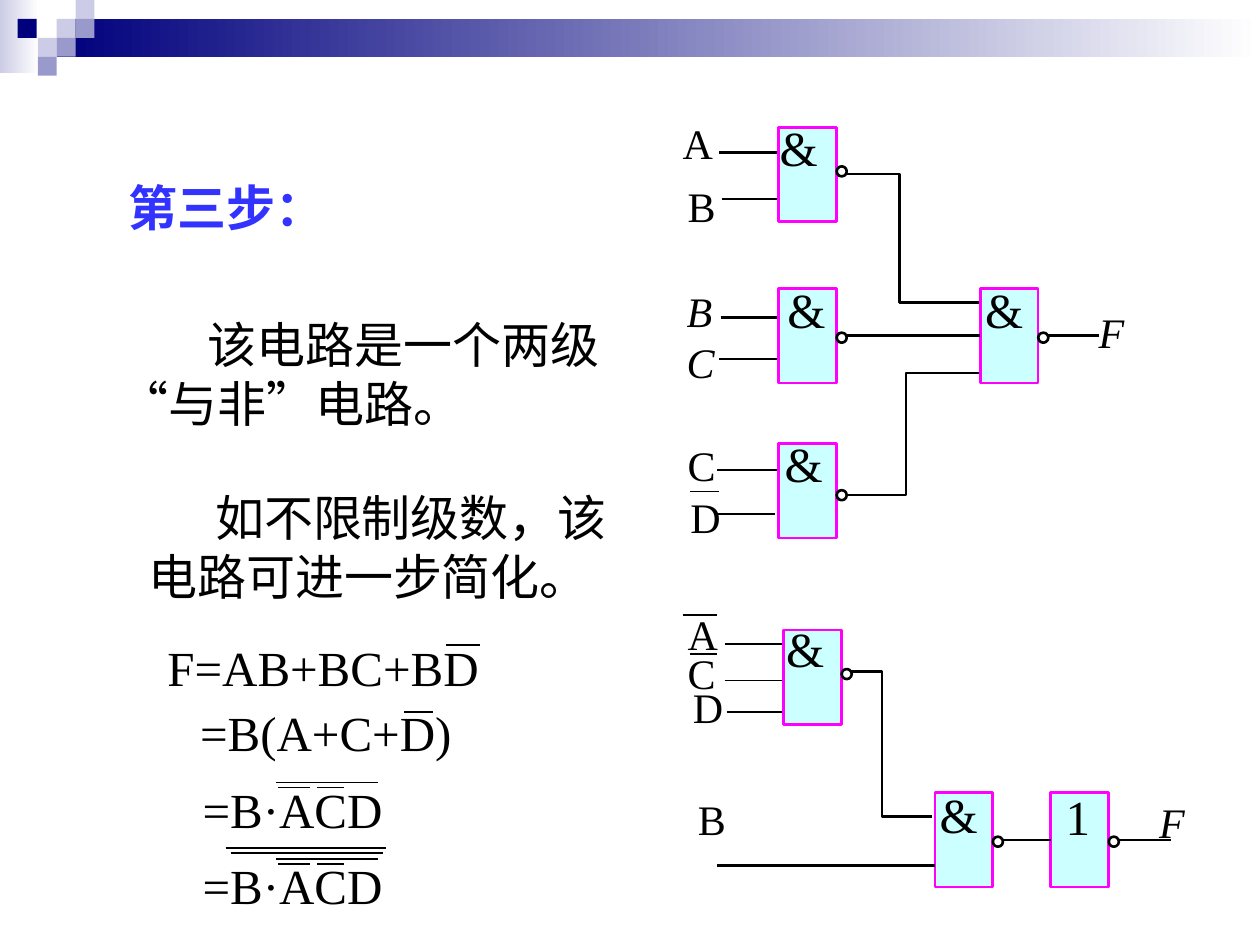
from lxml import etree
from pptx import Presentation
from pptx.dml.color import RGBColor
from pptx.enum.shapes import MSO_CONNECTOR as CONN, MSO_SHAPE as SHAPE
from pptx.enum.text import MSO_ANCHOR as ANCHOR, PP_ALIGN as ALIGN
from pptx.oxml.ns import qn
from pptx.util import Inches, Pt

COLORS = {"navy": "00007D", "lilac": "CCCCE6", "violet": "9999CC", "white": "FFFFFF",
          "black": "000000", "heading": "3333FF", "gate": "CCFFFF", "edge": "FF00FF"}
FONT = "Times New Roman"
GATE_W, GATE_H, BUBBLE = 0.46, 0.75, 0.08

TITLE = "第三步："
# left, top, width, first-line indent, lines
PROSE = [
    (0.85, 2.45, 4.2, 0.7, ["该电路是一个两级", "“与非”电路。"]),
    (1.08, 3.82, 4.0, 0.53, ["如不限制级数，该", "电路可进一步简化。"]),
]
# left, top, width, text
FORMULAS = [
    (1.23, 5.01, 2.9, "F=AB+BC+BD"),
    (1.49, 5.53, 2.5, "=B(A+C+D)"),
    (1.51, 6.14, 1.9, "=B·ACD"),
    (1.51, 6.74, 1.9, "=B·ACD"),
]
# Negation bars: x from, x to, y
ACD_BARS = [(2.21, 2.46, 0.04), (2.52, 2.73, 0.04), (2.19, 3.0, 0)]
BARS = [(3.54, 3.81, 5.12), (3.21, 3.44, 5.65),
        *[(x1, x2, top + dy) for top in (6.21, 6.82) for x1, x2, dy in ACD_BARS],
        (1.83, 3.04, 6.77), (1.79, 3.06, 6.73),
        (5.48, 5.71, 3.9), (5.42, 5.69, 4.88), (5.48, 5.69, 5.19)]

# name: left, top, bubble drop, symbol, symbol left, symbol top, symbol width
GATES = {
    "AB": (6.18, 1.01, 0.31, "&", 6.09, 0.88, 0.5),
    "BC": (6.18, 2.29, 0.35, "&", 6.15, 2.17, 0.5),
    "CD": (6.18, 3.52, 0.37, "&", 6.13, 3.39, 0.5),
    "sum": (7.78, 2.29, 0.35, "&", 7.72, 2.17, 0.5),
    "ACD": (6.22, 5.0, 0.31, "&", 6.14, 4.86, 0.5),
    "product": (7.42, 6.29, 0.35, "&", 7.36, 6.18, 0.5),
    "not": (8.34, 6.29, 0.35, "1", 8.36, 6.19, 0.39),
}
# x from, x to, y, line width
INPUTS = [
    (5.71, 6.17, 1.21, 1.5), (5.73, 6.17, 1.58, 1),
    (5.72, 6.17, 2.52, 1.5), (5.71, 6.17, 2.85, 1.5),
    (5.69, 6.17, 3.73, 1), (5.69, 6.15, 4.08, 1.5),
    (5.75, 6.21, 5.11, 1.5), (5.75, 6.21, 5.4, 1), (5.77, 6.21, 5.65, 1),
    (5.69, 7.42, 6.87, 1.5),
]
# x from, x to, y, line width, gate left, gate entered
OUTPUTS = [
    (6.64, 7.78, 2.67, 1.5, "BC", "sum"), (8.24, 8.72, 2.67, 1.5, "sum", None),
    (7.88, 8.34, 6.67, 1, "product", "not"), (8.8, 9.29, 6.67, 1, "not", None),
]
# Stepped wires: x from, x of the step, x to, y from, y to
STEPS = [
    (6.64, 7.14, 7.77, 1.38, 2.4),
    (6.64, 7.19, 7.77, 3.93, 2.96),
    (6.68, 7.0, 7.4, 5.33, 6.48),
]
# text, left, top, italic
LABELS = [
    ("A", 5.32, 0.88, False), ("B", 5.36, 1.38, False),
    ("B", 5.35, 2.22, True), ("C", 5.35, 2.62, True),
    ("C", 5.36, 3.44, False), ("D", 5.38, 3.85, False), ("F", 8.62, 2.38, True),
    ("A", 5.36, 4.78, False), ("C", 5.36, 5.09, False), ("D", 5.4, 5.36, False),
    ("B", 5.44, 6.25, False), ("F", 9.1, 6.27, True),
]
# Corner squares: left, top, colour
SQUARES = [(0.45, 0.15, "lilac"), (0.6, 0, "lilac"), (0.6, 0.15, "violet"),
           (0.3, 0.3, "lilac"), (0.14, 0.15, "navy"), (0.45, 0.3, "violet"),
           (0.3, 0.45, "violet")]


def rgb(name):
    return RGBColor.from_string(COLORS[name])


def add_shape(kind, x, y, w, h, fill, line=None):
    sp = s.shapes.add_shape(kind, *map(Inches, (x, y, w, h)))
    sp.shadow.inherit = False
    sp.fill.solid()
    sp.fill.fore_color.rgb = rgb(fill)
    if line:
        sp.line.color.rgb = rgb(line)
        sp.line.width = Pt(1.5)
    else:
        sp.line.fill.background()
    return sp


def add_fade(x, y, w, h, color):
    """Rectangle fading from color on the left to white on the right."""
    fill = add_shape(SHAPE.RECTANGLE, x, y, w, h, color).fill
    fill.gradient()
    fill.gradient_angle = 0
    for stop, name in zip(fill.gradient_stops, (color, "white")):
        stop.color.rgb = rgb(name)


def format_text(tf, size, color="black", bold=False, italic=False):
    for p in tf.paragraphs:
        p.alignment = ALIGN.LEFT
        for r in p.runs:
            r.font.name, r.font.size = FONT, Pt(size)
            r.font.bold, r.font.italic = bold, italic
            r.font.color.rgb = rgb(color)


def add_text(text, x, y, w, h, size=28, italic=False):
    tf = s.shapes.add_textbox(*map(Inches, (x, y, w, h))).text_frame
    tf.word_wrap = True
    tf.text = text
    format_text(tf, size, italic=italic)
    return tf


def add_line(x1, x2, y, width=1):
    c = s.shapes.add_connector(CONN.STRAIGHT, *map(Inches, (x1, y, x2, y)))
    c.line.color.rgb = rgb("black")
    c.line.width = Pt(width)
    etree.SubElement(c._element.spPr, qn("a:effectLst"))
    return c


def add_step(*lengths):
    x1, x_step, x2, y1, y2 = map(Inches, lengths)
    fb = s.shapes.build_freeform(x1, y1)
    fb.add_line_segments([(x_step, y1), (x_step, y2), (x2, y2)], close=False)
    sp = fb.convert_to_shape()
    sp.shadow.inherit = False
    sp.fill.background()
    sp.line.color.rgb = rgb("black")
    sp.line.width = Pt(1.5)


prs = Presentation()
prs.slide_width, prs.slide_height = Inches(10), Inches(7.5)
s = prs.slides.add_slide(prs.slide_layouts[5])

add_fade(0, 0, 0.31, 0.58, "lilac")
add_fade(0.45, 0.15, 9.55, 0.3, "navy")
for x, y, color in SQUARES:
    add_shape(SHAPE.RECTANGLE, x, y, 0.15, 0.15, color)

title = s.shapes.title
title.left, title.top, title.width, title.height = map(Inches, (0.92, 1.36, 2.77, 0.57))
title.text_frame.text = TITLE
title.text_frame.vertical_anchor = ANCHOR.TOP
format_text(title.text_frame, 28, "heading", bold=True)

for x, y, w, indent, lines in PROSE:
    tf = add_text("\n".join(lines), x, y, w, 1.04)
    tf.paragraphs[0]._p.get_or_add_pPr().set("indent", str(Inches(indent)))
for x, y, w, text in FORMULAS:
    add_text(text, x, y, w, 0.57)

gates = {name: add_shape(SHAPE.RECTANGLE, x, y, GATE_W, GATE_H, "gate", "edge")
         for name, (x, y, *_) in GATES.items()}
for wire in INPUTS:
    add_line(*wire)
for *wire, source, target in OUTPUTS:
    c = add_line(*wire)
    c.begin_connect(gates[source], 3)
    if target:
        c.end_connect(gates[target], 1)
    else:
        c.end_y = c.begin_y
for step in STEPS:
    add_step(*step)
for x, y, drop, symbol, sx, sy, sw in GATES.values():
    add_shape(SHAPE.OVAL, x + GATE_W, y + drop, BUBBLE, BUBBLE, "white", "black")
    add_text(symbol, sx, sy, sw, 0.57)
for text, x, y, italic in LABELS:
    add_text(text, x, y, 0.42, 0.5, size=24, italic=italic)
for bar in BARS:
    add_line(*bar)

prs.save("out.pptx")
